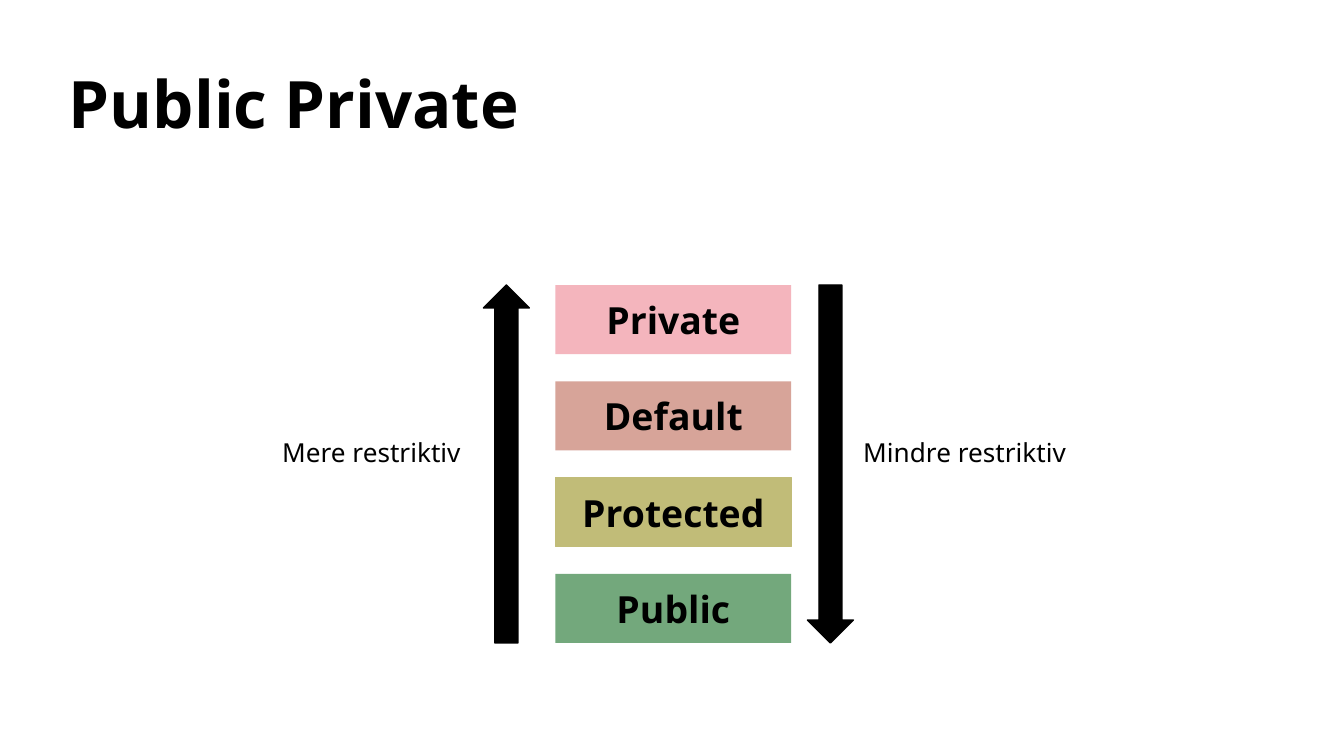
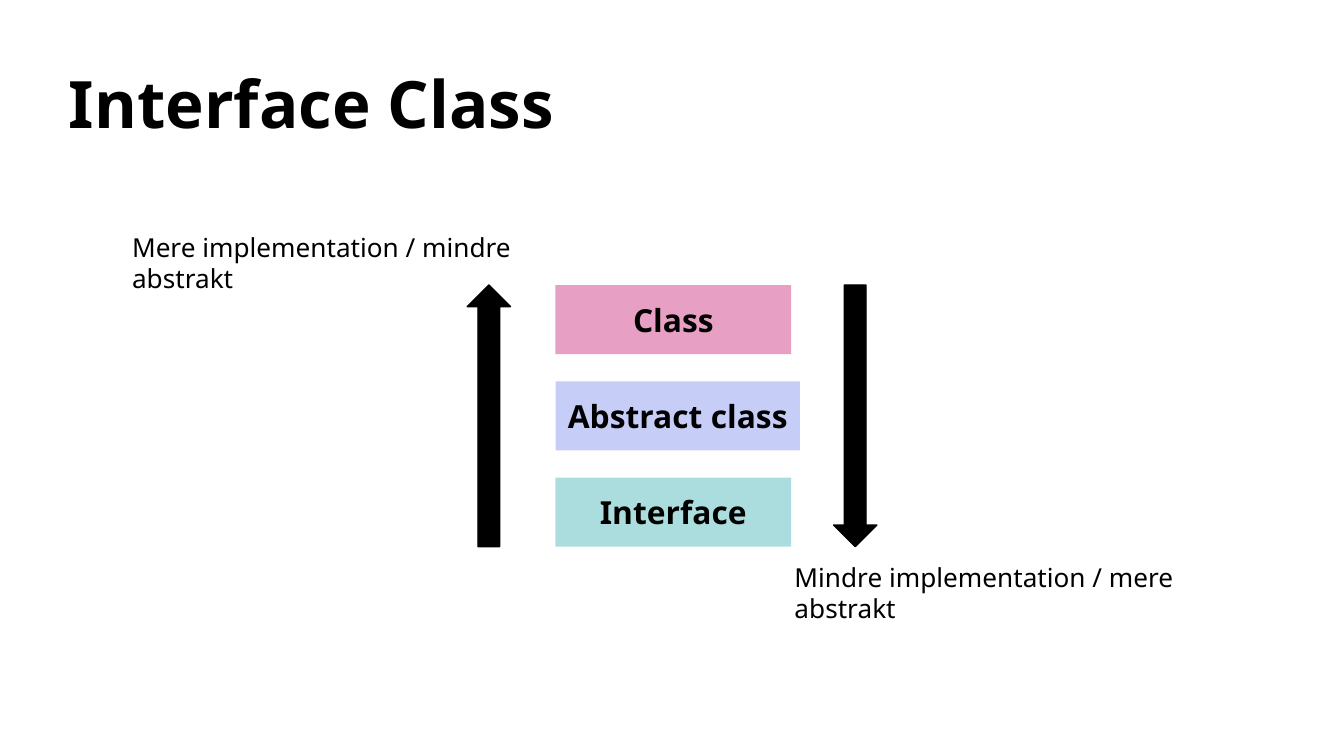
from dataclasses import dataclass

from pptx import Presentation
from pptx.dml.color import RGBColor
from pptx.enum import shapes, text
from pptx.util import Length, Pt

FONT = "Noto Sans"
BLACK = "000000"
INSET = Pt(1.44)
LINE_WIDTH = Pt(0.75)
STACK_LEFT = Pt(297.6)
STACK_TOP = Pt(152.7)
BOX_WIDTH = Pt(126.3)
BOX_HEIGHT = Pt(37)
BOX_PITCH = Pt(51.6)


@dataclass(frozen=True)
class Box:
    label: str
    fill: str
    width: Length = BOX_WIDTH
    outlined: bool = False


@dataclass(frozen=True)
class Label:
    words: str
    left: Length
    top: Length
    width: Length
    height: Length


@dataclass(frozen=True)
class Diagram:
    title: str
    boxes: tuple[Box, ...]
    box_size: Length
    labels: tuple[Label, ...]
    up_left: Length
    down_left: Length
    arrow_width: Length


DIAGRAMS = (
    Diagram(
        title="Public Private",
        boxes=(
            Box("Private", "F4B5BD"),
            Box("Default", "D7A499"),
            Box("Protected", "C1BC78", outlined=True),
            Box("Public", "73A87C"),
        ),
        box_size=Pt(20),
        labels=(
            Label("Mere restriktiv", Pt(149.7), Pt(232), Pt(115), Pt(20)),
            Label("Mindre restriktiv", Pt(461), Pt(232), Pt(135), Pt(20)),
        ),
        up_left=Pt(259),
        down_left=Pt(432.6),
        arrow_width=Pt(24.6),
    ),
    Diagram(
        title="Interface Class",
        boxes=(
            Box("Class", "E7A0C4"),
            Box("Abstract class", "C6CDF7", width=Pt(131)),
            Box("Interface", "ABDDDE"),
        ),
        box_size=Pt(17),
        labels=(
            Label("Mindre implementation / mere abstrakt",
                  Pt(424.2), Pt(299), Pt(234.7), Pt(37)),
            Label("Mere implementation / mindre abstrakt",
                  Pt(69.3), Pt(122), Pt(230.4), Pt(37)),
        ),
        up_left=Pt(250.3),
        down_left=Pt(446.6),
        arrow_width=Pt(23.2),
    ),
)


def colour(value: str) -> RGBColor:
    return RGBColor.from_string(value)


def write(shape, words: str, size: Length, bold: bool = False,
          align=text.PP_ALIGN.LEFT, spacing: float = 1.0) -> None:
    frame = shape.text_frame
    frame.word_wrap = True
    frame.auto_size = text.MSO_AUTO_SIZE.NONE
    frame.vertical_anchor = text.MSO_ANCHOR.MIDDLE
    frame.margin_left = frame.margin_right = INSET
    frame.margin_top = frame.margin_bottom = INSET
    paragraph = frame.paragraphs[0]
    paragraph.alignment = align
    paragraph.line_spacing = spacing
    run = paragraph.add_run()
    run.text = words
    run.font.name = FONT
    run.font.size = size
    run.font.bold = bold
    run.font.color.rgb = colour(BLACK)


def add_filled(slide, kind, left: Length, top: Length, width: Length,
               height: Length, fill: str, outlined: bool):
    shape = slide.shapes.add_shape(kind, left, top, width, height)
    shape.shadow.inherit = False
    shape.fill.solid()
    shape.fill.fore_color.rgb = colour(fill)
    if outlined:
        shape.line.color.rgb = colour(fill)
        shape.line.width = LINE_WIDTH
    else:
        shape.line.fill.background()
    return shape


def add_title(slide, words: str) -> None:
    title = slide.shapes.title
    title.left, title.top = Pt(35.4), Pt(25.9)
    title.width, title.height = Pt(649), Pt(65.5)
    write(title, words, Pt(35), bold=True, spacing=0.8)


def add_stack(slide, boxes: tuple[Box, ...], size: Length) -> None:
    for index, box in enumerate(boxes):
        shape = add_filled(slide, shapes.MSO_SHAPE.RECTANGLE, STACK_LEFT,
                           STACK_TOP + index * BOX_PITCH, box.width,
                           BOX_HEIGHT, box.fill, box.outlined)
        write(shape, box.label, size, bold=True, align=text.PP_ALIGN.CENTER)


def add_arrows(slide, diagram: Diagram) -> None:
    height = (len(diagram.boxes) - 1) * BOX_PITCH + BOX_HEIGHT
    for kind, left in (
        (shapes.MSO_SHAPE.UP_ARROW, diagram.up_left),
        (shapes.MSO_SHAPE.DOWN_ARROW, diagram.down_left),
    ):
        add_filled(slide, kind, left, STACK_TOP, diagram.arrow_width,
                   height, BLACK, outlined=True)


def add_label(slide, label: Label) -> None:
    shape = slide.shapes.add_textbox(label.left, label.top,
                                     label.width, label.height)
    write(shape, label.words, Pt(14))


def add_diagram(presentation, diagram: Diagram) -> None:
    slide = presentation.slides.add_slide(presentation.slide_layouts[5])
    add_title(slide, diagram.title)
    add_stack(slide, diagram.boxes, diagram.box_size)
    add_arrows(slide, diagram)
    for label in diagram.labels:
        add_label(slide, label)


def main() -> None:
    presentation = Presentation()
    presentation.slide_width = Pt(720)
    presentation.slide_height = Pt(405)
    for diagram in DIAGRAMS:
        add_diagram(presentation, diagram)
    presentation.save("out.pptx")


if __name__ == "__main__":
    main()
